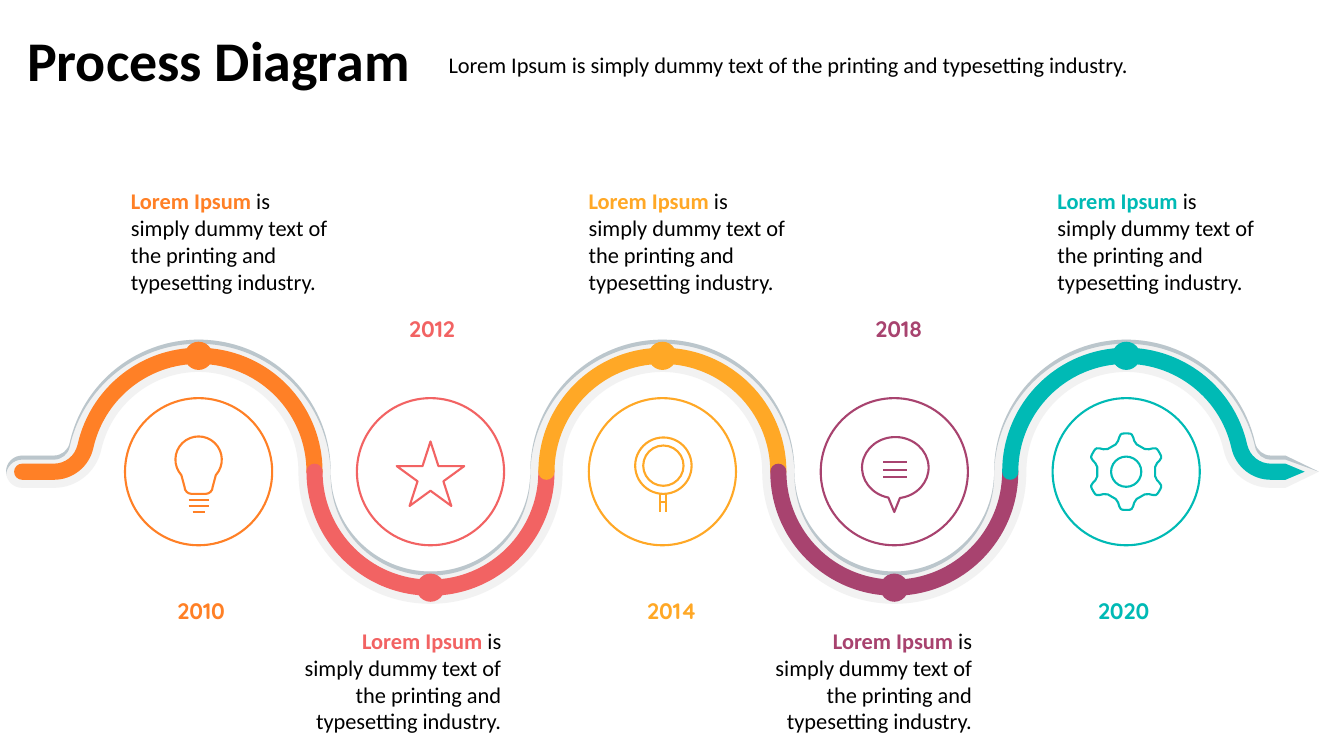
from dataclasses import dataclass
from functools import reduce
from math import atan2, ceil, cos, degrees, hypot, radians, sin, tan
from typing import Callable

from lxml.etree import SubElement
from pptx import Presentation
from pptx.dml.color import RGBColor
from pptx.enum.shapes import MSO_CONNECTOR, MSO_SHAPE
from pptx.enum.text import PP_ALIGN
from pptx.oxml.ns import qn
from pptx.util import Inches, Pt


class Theme:
    black, track, rim = "000000", "F2F2F2", "BBC6CC"
    orange, coral, amber, plum, teal = "FF8026", "F26363", "FFA826", "A8436F", "00BAB5"
    body_font, year_font = "Calibri", "Quicksand"
    title_size, body_size, icon_line = 40, 16, 1.5


# Wave geometry, in inches
FIRST_X, STEP_X, AXIS_Y = 1.97, 2.3, 4.68
RADIUS, FILLET = 1.15, 0.32
BAND_HALF, TRACK_HALF, RIM_DEPTH = 0.08, 0.16, 0.04
LEAD_X, BAND_END_X, BAND_TIP_X, TRACK_TIP_X = 0.22, 12.75, 12.94, 13.08
FILLET_ANGLE = degrees(atan2(FILLET, ((RADIUS + FILLET) ** 2 - FILLET ** 2) ** 0.5))
FILLET_DX = (RADIUS + FILLET) * cos(radians(FILLET_ANGLE))


@dataclass
class Step:
    year: str
    color: str
    year_left: float
    text_left: float
    draw_icon: Callable


# Curves are chains of cubics: point, control, control, point, ...
# Centrelines also carry the normal on the upper side: x, y, nx, ny
def join_pair(first, second):
    (x1, y1), (x2, y2) = first[-1][:2], second[0][:2]
    if hypot(x2 - x1, y2 - y1) < 0.001:
        return first + second[1:]
    return first + [first[-1], second[0]] + second


def join(*curves):
    return reduce(join_pair, curves)


def arc(x, y, radius, start, end):
    side = 1 if end < start else -1
    count = ceil(abs(end - start) / 90)
    turn = radians(end - start) / count
    reach = 4 / 3 * tan(turn / 4)
    units = [(cos(radians(start)), -sin(radians(start)))]
    for k in range(count):
        a = radians(start) + k * turn
        b = a + turn
        units += [(cos(a) - reach * sin(a), -sin(a) - reach * cos(a)),
                  (cos(b) + reach * sin(b), -sin(b) + reach * cos(b)),
                  (cos(b), -sin(b))]
    return [(x + radius * ux, y + radius * uy, side * ux, side * uy) for ux, uy in units]


def offset(centreline, distance):
    return [(x + nx * distance, y + ny * distance) for x, y, nx, ny in centreline]


def points(curve):
    return offset(curve, 0)


def cap(point, half, at_start):
    x, y, nx, ny = point
    angle = degrees(atan2(-ny, nx))
    start = angle + 180 if at_start else angle
    return points(arc(x, y, half, start, start - 180))


def ribbon(centreline, half, tip=None):
    end = [tip] if tip else cap(centreline[-1], half, False)
    return join(cap(centreline[0], half, True), offset(centreline, half), end,
                offset(centreline, -half)[::-1])


def wave_part(index, count):
    x = FIRST_X + index * STEP_X
    start, end = 180, 0 if index % 2 == 0 else 360
    before, after = [], []
    if index == 0:
        start -= FILLET_ANGLE
        before = [[(LEAD_X, AXIS_Y, 0, -1)],
                  arc(x - FILLET_DX, AXIS_Y - FILLET, FILLET, -90, -FILLET_ANGLE)]
    if index == count - 1:
        end += FILLET_ANGLE
        after = [arc(x + FILLET_DX, AXIS_Y - FILLET, FILLET, 180 + FILLET_ANGLE, 270),
                 [(BAND_END_X, AXIS_Y, 0, -1)]]
    return join(*before, arc(x, AXIS_Y, RADIUS, start, end), *after)


# Drawing helpers
def paint(shape, fill=None, line=None):
    shape.shadow.inherit = False
    for part, color in ((shape.fill, fill), (shape.line.fill, line)):
        if color:
            part.solid()
            part.fore_color.rgb = RGBColor.from_string(color)
        else:
            part.background()
    if line:
        shape.line.width = Pt(Theme.icon_line)


def add_outline(shapes, outline, **colors):
    corners = [(Inches(x), Inches(y)) for x, y in outline]
    builder = shapes.build_freeform(*corners[0])
    builder.add_line_segments(corners[1:], close=True)
    shape = builder.convert_to_shape()
    # Turn every three line segments into one cubic curve
    segments = list(shape._element.iter(qn("a:lnTo")))
    for curve, *others in zip(segments[::3], segments[1::3], segments[2::3]):
        curve.tag = qn("a:cubicBezTo")
        for other in others:
            curve.append(other[0])
            other.getparent().remove(other)
    paint(shape, **colors)


def add_preset(shapes, kind, x, y, width, height, **colors):
    shape = shapes.add_shape(kind, Inches(x - width / 2), Inches(y - height / 2),
                             Inches(width), Inches(height))
    paint(shape, **colors)


def add_circle(shapes, x, y, radius, **colors):
    add_preset(shapes, MSO_SHAPE.OVAL, x, y, 2 * radius, 2 * radius, **colors)


def add_stroke(shapes, x1, y1, x2, y2, color):
    line = shapes.add_connector(MSO_CONNECTOR.STRAIGHT, *map(Inches, (x1, y1, x2, y2)))
    line.line.color.rgb = RGBColor.from_string(color)
    line.line.width = Pt(Theme.icon_line)
    SubElement(line._element.spPr, qn("a:effectLst"))


def add_text(slide, box, runs, size=Theme.body_size, font=Theme.body_font,
             align=PP_ALIGN.LEFT, wrap=True):
    text_frame = slide.shapes.add_textbox(*map(Inches, box)).text_frame
    text_frame.word_wrap = wrap
    paragraph = text_frame.paragraphs[0]
    paragraph.alignment = align
    for text, color, bold in runs:
        run = paragraph.add_run()
        run.text = text
        run.font.size, run.font.name, run.font.bold = Pt(size), font, bold
        run.font.color.rgb = RGBColor.from_string(color)


# Icons, each around the middle of its ring
def bulb(shapes, x, y, color):
    outline = join(arc(x, y - 0.12, 0.23, 222, -42), arc(x + 0.07, y + 0.15, 0.07, 0, -90),
                   arc(x - 0.07, y + 0.15, 0.07, -90, -180))
    add_outline(shapes, points(outline), line=color)
    for row, half in enumerate((0.1, 0.1, 0.06)):
        level = y + 0.28 + 0.06 * row
        add_stroke(shapes, x - half, level, x + half, level, color)


def star(shapes, x, y, color):
    add_preset(shapes, MSO_SHAPE.STAR_5_POINT, x, y + 0.02, 0.67, 0.64, line=color)


def magnifier(shapes, x, y, color):
    for radius in (0.28, 0.2):
        add_circle(shapes, x + 0.01, y - 0.06, radius, line=color)
    for side in (-0.02, 0.04):
        add_stroke(shapes, x + side, y + 0.22, x + side, y + 0.4, color)
    add_stroke(shapes, x - 0.02, y + 0.3, x + 0.04, y + 0.3, color)


def speech(shapes, x, y, color):
    bubble = [(x + 0.01 + px, y - 0.04 + 0.92 * py)
              for px, py in points(arc(0, 0, 0.33, -82, 258))]
    add_outline(shapes, join(bubble, [(x, y + 0.4)]), line=color)
    for level in (-0.1, -0.02, 0.05):
        add_stroke(shapes, x - 0.11, y + level, x + 0.13, y + level, color)


def gear(shapes, x, y, color):
    add_circle(shapes, x, y, 0.15, line=color)
    flank = [(-21, 0.29), (-10, 0.32), (-13, 0.39), (-3, 0.38)]
    tooth = join(flank, [(-angle, radius) for angle, radius in flank[::-1]])
    teeth = [[(x + radius * cos(radians(turn + angle)), y - radius * sin(radians(turn + angle)))
              for angle, radius in tooth] for turn in range(30, 390, 60)]
    add_outline(shapes, join(*teeth), line=color)


STEPS = [
    Step("2010", Theme.orange, 1.15, 1.2, bulb),
    Step("2012", Theme.coral, 3.44, 2.91, star),
    Step("2014", Theme.amber, 5.82, 5.74, magnifier),
    Step("2018", Theme.plum, 8.07, 7.58, speech),
    Step("2020", Theme.teal, 10.3, 10.39, gear),
]


# Slide regions
def add_header(slide, left, top):
    add_text(slide, (left, top, 4.04, 0.77), [("Process Diagram", Theme.black, True)],
             Theme.title_size, wrap=False)
    add_text(slide, (left + 4.05, top + 0.26, 7.2, 0.37),
             [("Lorem Ipsum is simply dummy text of the printing and typesetting industry.",
               Theme.black, False)], align=PP_ALIGN.CENTER)


def add_wave(slide, parts):
    track, tip = join(*parts), (TRACK_TIP_X, AXIS_Y)
    add_outline(slide.shapes, ribbon(track, TRACK_HALF, tip), fill=Theme.track)
    # Shaded rim along the upper edge
    upper = join(points(arc(LEAD_X, AXIS_Y, TRACK_HALF, 180, 90)), offset(track, TRACK_HALF))
    lower = [(x, y + RIM_DEPTH) for x, y in reversed(upper)]
    add_outline(slide.shapes, join(upper, [tip], lower), fill=Theme.rim)
    # Coloured bands with their dots
    for index, (step, part) in enumerate(zip(STEPS, parts)):
        end = (BAND_TIP_X, AXIS_Y) if step is STEPS[-1] else None
        add_outline(slide.shapes, ribbon(part, BAND_HALF, end), fill=step.color)
        dot_y = AXIS_Y + RADIUS * (-1) ** (index + 1)
        add_circle(slide.shapes, FIRST_X + index * STEP_X, dot_y, 0.14, fill=step.color)


def add_step(slide, step, x, above):
    group = slide.shapes.add_group_shape()
    add_circle(group.shapes, x, AXIS_Y, 0.73, line=step.color)
    step.draw_icon(group.shapes, x, AXIS_Y, step.color)
    add_text(slide, (step.text_left, 1.81 if above else 6.17, 2.16, 1.18),
             [("Lorem Ipsum ", step.color, True),
              ("is simply dummy text of the printing and typesetting industry.",
               Theme.black, False)], align=PP_ALIGN.LEFT if above else PP_ALIGN.RIGHT)
    add_text(slide, (step.year_left, 5.88 if above else 3.08, 1.69, 0.37),
             [(step.year, step.color, True)], font=Theme.year_font, align=PP_ALIGN.CENTER)


def main():
    presentation = Presentation()
    presentation.slide_width, presentation.slide_height = Inches(13.33), Inches(7.5)
    slide = presentation.slides.add_slide(presentation.slide_layouts[6])
    add_header(slide, 0.17, 0.2)
    add_wave(slide, [wave_part(index, len(STEPS)) for index in range(len(STEPS))])
    for index, step in enumerate(STEPS):
        add_step(slide, step, FIRST_X + index * STEP_X, index % 2 == 0)
    presentation.save("out.pptx")


if __name__ == "__main__":
    main()
